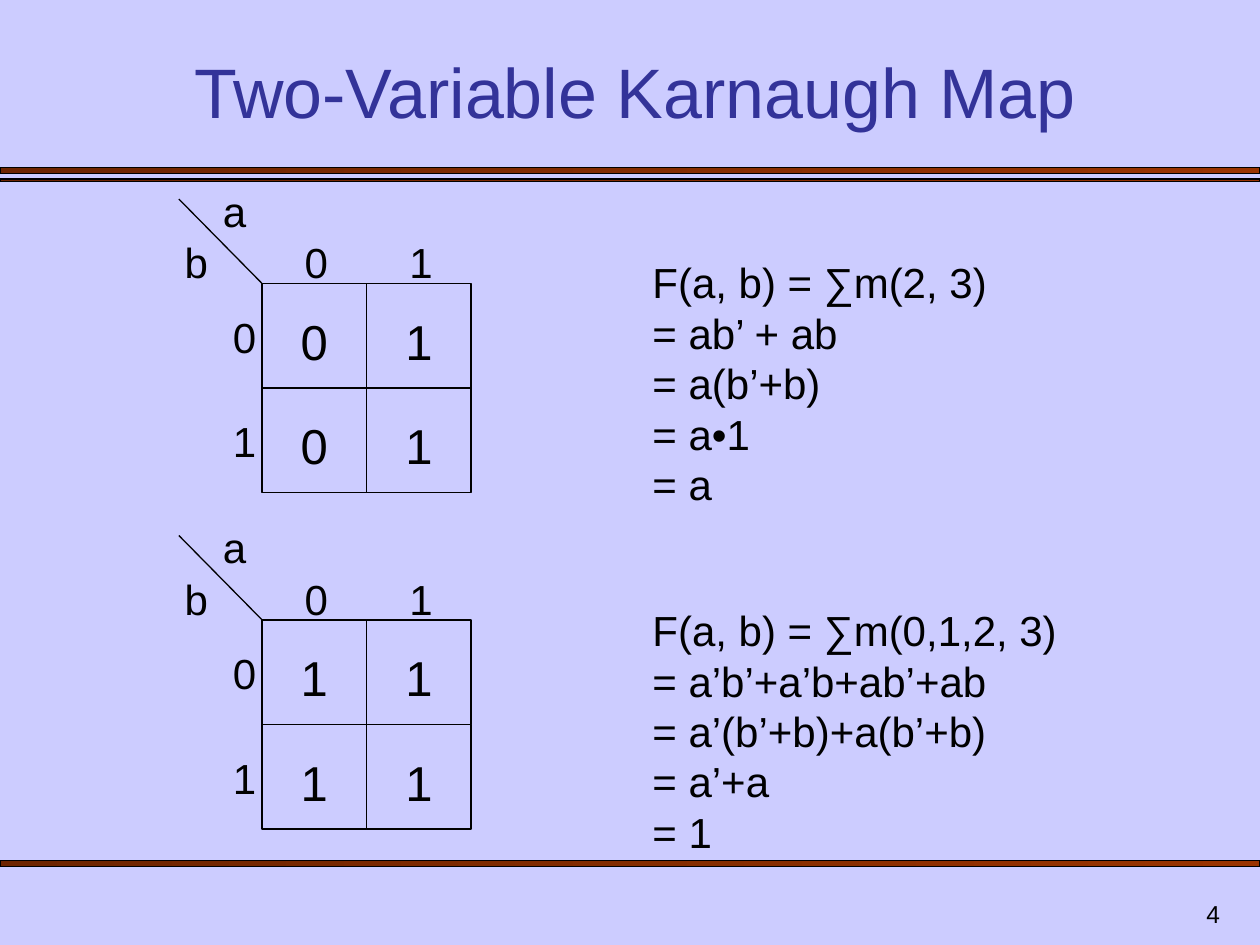
"""Build the slide on two-variable Karnaugh maps."""
from lxml.etree import SubElement
from pptx import Presentation
from pptx.dml.color import RGBColor
from pptx.enum.shapes import MSO_CONNECTOR, MSO_SHAPE
from pptx.enum.text import MSO_ANCHOR, PP_ALIGN
from pptx.oxml.ns import qn
from pptx.util import Inches, Pt

HUES = {"back": "CCCCFF", "ink": "000000", "title": "333399",
        "dark": "6D2400", "rust": "993300"}
HUES = {key: RGBColor.from_string(val) for key, val in HUES.items()}
LEFT, MID, RIGHT = PP_ALIGN.LEFT, PP_ALIGN.CENTER, PP_ALIGN.RIGHT


def style(box, text, size, align, hue="ink", anchor=MSO_ANCHOR.TOP):
    frame = box.text_frame
    frame.text = text
    frame.word_wrap = True
    frame.vertical_anchor = anchor
    para = frame.paragraphs[0]
    para.alignment = align
    for run in para.runs:
        for key, val in {"name": "Arial", "size": Pt(size), "bold": False}.items():
            setattr(run.font, key, val)
        run.font.color.rgb = HUES[hue]
    return para


def label(shapes, text, x, y, w, h, size=24, align=LEFT):
    box = shapes.add_textbox(Inches(x), Inches(y), Inches(w), Inches(h))
    style(box, text, size, align).line_spacing = Pt(size * 1.2)


deck = Presentation()
deck.slide_width, deck.slide_height = Inches(10), Inches(7.5)
slide = deck.slides.add_slide(deck.slide_layouts[5])
slide.background.fill.solid()
slide.background.fill.fore_color.rgb = HUES["back"]

for y, h in [(1.33, 0.05), (1.42, 0.02), (6.83, 0.05)]:
    bar = slide.shapes.add_shape(MSO_SHAPE.RECTANGLE, 0, Inches(y), Inches(10), Inches(h))
    bar.shadow.inherit = False
    bar.fill.gradient()
    bar.fill.gradient_angle = 0
    for stop, hue, spot in zip(bar.fill.gradient_stops, ("dark", "rust"), (0, 1)):
        stop.color.rgb = HUES[hue]
        stop.position = spot
    bar.line.color.rgb = HUES["ink"]
    bar.line.width = Pt(0.75)

title = slide.shapes.title
place = {"left": 0.58, "top": 0.42, "width": 8.92, "height": 0.68}
for key, val in place.items():
    setattr(title, key, Inches(val))
style(title, "Two-Variable Karnaugh Map", 40, MID, "title", MSO_ANCHOR.BOTTOM)

page = slide.shapes.add_textbox(Inches(7.7), Inches(7), Inches(2.08), Inches(0.42))
style(page, "4", 14, RIGHT, anchor=MSO_ANCHOR.BOTTOM)

for top, rows in [(2.25, ["01", "01"]), (4.92, ["11", "11"])]:
    group = slide.shapes.add_group_shape().shapes
    label(group, "a", 1.67, top - 0.83, 0.5, 0.5)
    label(group, "b", 1.25, top - 0.42, 0.5, 0.5, align=RIGHT)
    slash = group.add_connector(MSO_CONNECTOR.STRAIGHT, Inches(1.42), Inches(top - 0.67),
                                Inches(2.08), Inches(top))
    slash.line.color.rgb = HUES["ink"]
    slash.line.width = Pt(0.75)
    SubElement(slash._element.spPr, qn("a:effectLst"))
    for i, row in enumerate(rows):
        step = 0.83 * i
        label(group, str(i), 2.32 + step, top - 0.42, 0.43, 0.5)
        label(group, str(i), 1.75, top + 0.17 + step, 0.43, 0.5)
        for j, bit in enumerate(row):
            x, y = 2.08 + 0.83 * j, top + step
            cell = group.add_shape(MSO_SHAPE.RECTANGLE, Inches(x), Inches(y),
                                   Inches(0.83), Inches(0.83))
            cell.shadow.inherit = False
            cell.fill.background()
            cell.line.color.rgb = HUES["ink"]
            cell.line.width = Pt(0.75)
            label(group, bit, x, y + 0.17, 0.83, 0.57, 28, MID)

label(slide.shapes, "F(a, b) = ∑m(2, 3)\v= ab’ + ab\v= a(b’+b)\v= a•1\v= a",
      5.08, 1.99, 3.17, 2.1)
label(slide.shapes,
      "F(a, b) = ∑m(0,1,2, 3)\v= a’b’+a’b+ab’+ab\v= a’(b’+b)+a(b’+b)\v= a’+a \v= 1",
      5.08, 4.75, 3.83, 2.1)

deck.save("out.pptx")
